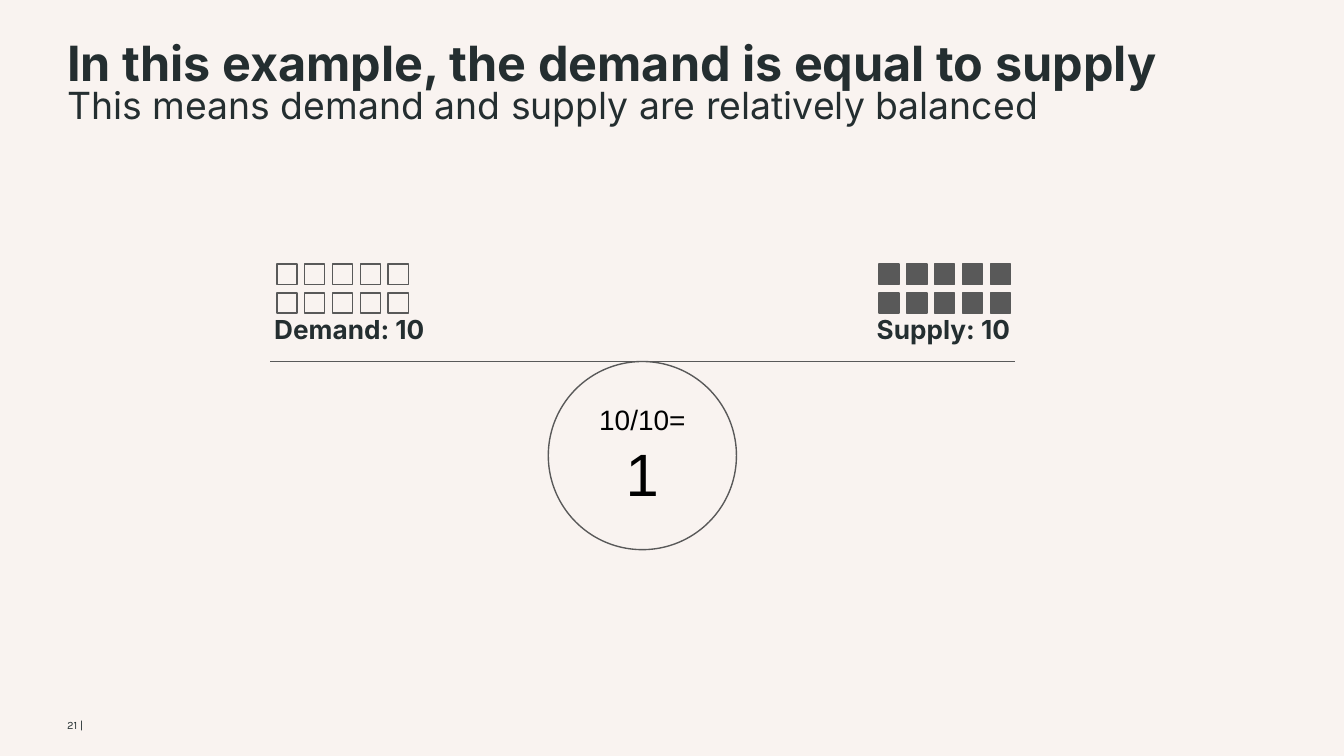
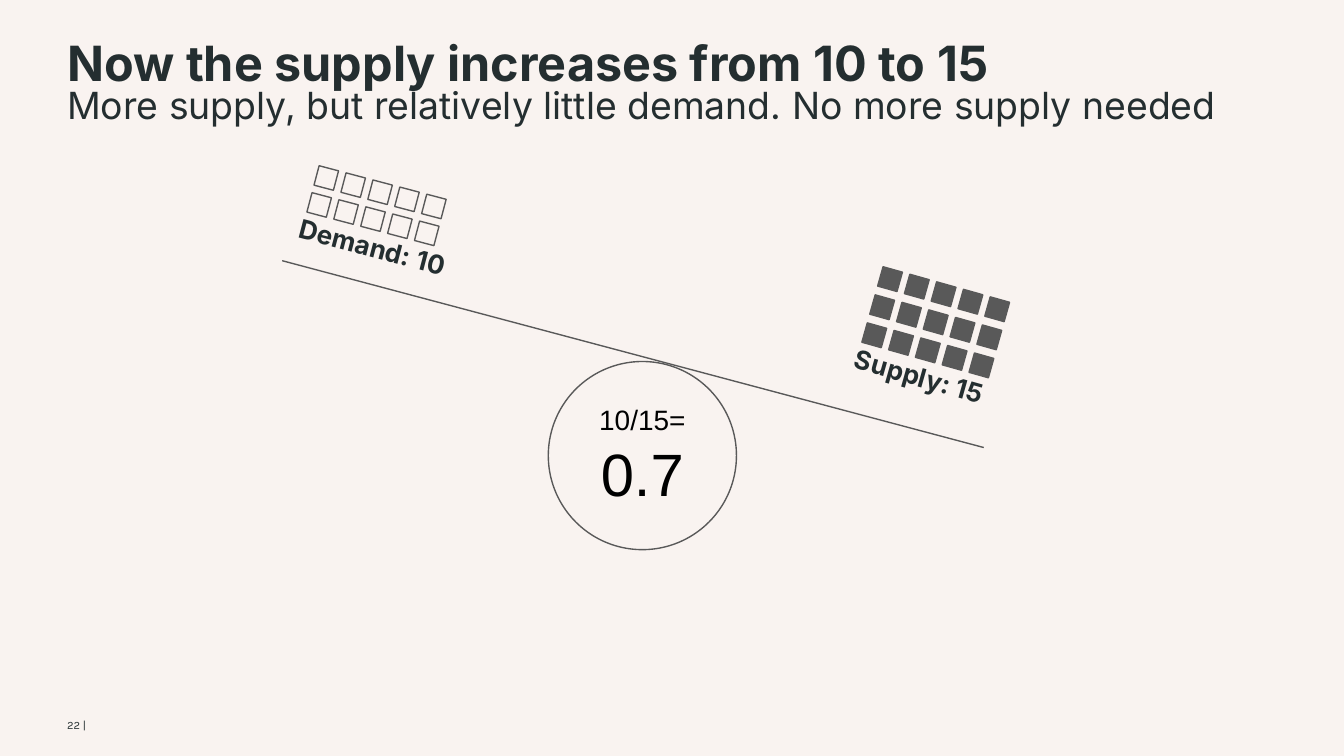
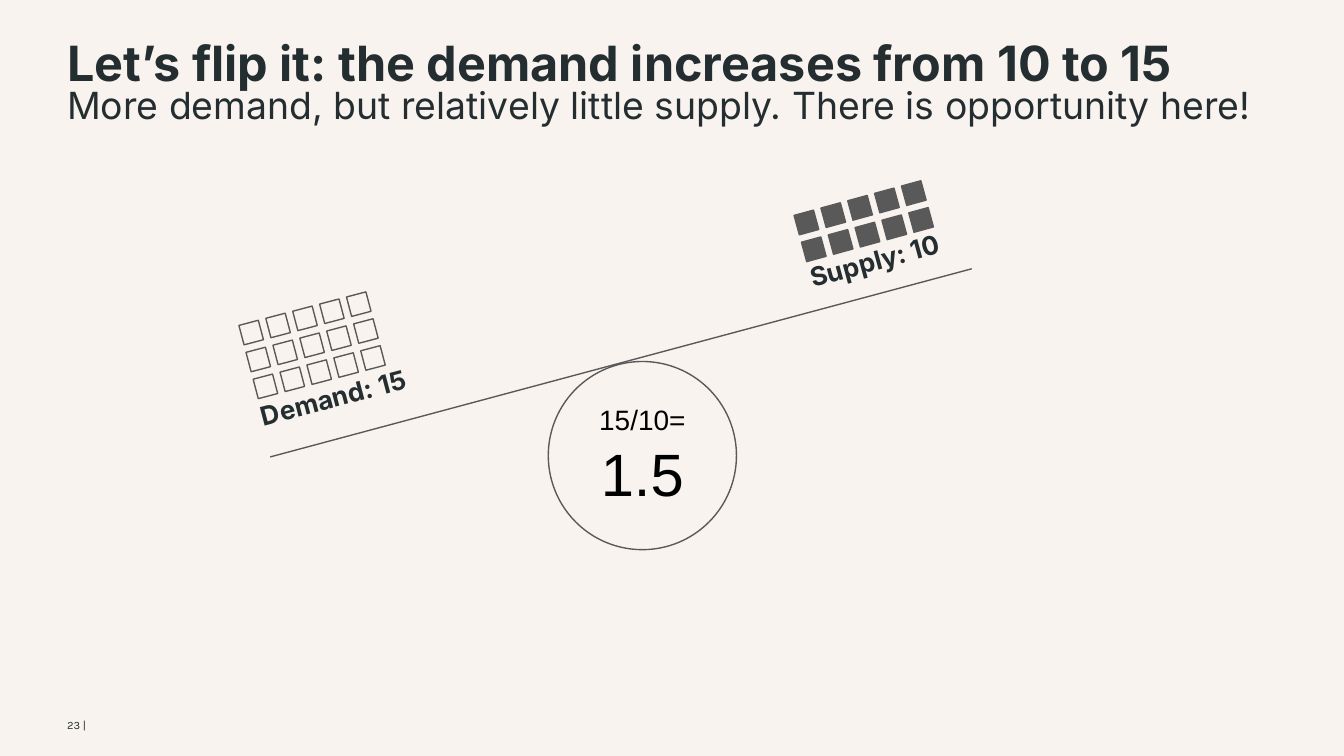
import dataclasses
import math
import typing

import lxml.etree
import pptx
import pptx.dml.color
import pptx.enum.shapes
import pptx.enum.text
import pptx.oxml.ns
import pptx.util

BACKDROP = pptx.dml.color.RGBColor(0xF9, 0xF3, 0xF0)
INK = pptx.dml.color.RGBColor(0x24, 0x2E, 0x30)
GRAPHITE = pptx.dml.color.RGBColor(0x59, 0x59, 0x59)
BLACK = pptx.dml.color.RGBColor(0, 0, 0)

SLIDE_WIDTH = pptx.util.Inches(10)
SLIDE_HEIGHT = pptx.util.Inches(5.625)
COLUMN = SLIDE_WIDTH / 100
ROW = SLIDE_HEIGHT / 56.25

STROKE = pptx.util.Pt(0.75)
UNITS_PER_ROW = 5
UNIT_SIZE = 1.5
UNIT_PITCH = 2.07
FIRST_PAGE = 21

CENTER = pptx.enum.text.PP_ALIGN.CENTER
LEFT = pptx.enum.text.PP_ALIGN.LEFT
MIDDLE = pptx.enum.text.MSO_ANCHOR.MIDDLE
SHAPES = pptx.enum.shapes.MSO_SHAPE


class Spot(typing.NamedTuple):
    column: float
    row: float


class Area(typing.NamedTuple):
    column: float
    row: float
    columns: float
    rows: float


class Style(typing.NamedTuple):
    font: str
    size: float
    color: pptx.dml.color.RGBColor
    bold: bool = False


TITLE = Style("Inter", 26, INK, True)
SUBTITLE = Style("Inter", 20, INK)
LABEL = Style("Inter", 14, INK, True)
PAGE_NUMBER = Style("Karla", 6, INK)
FORMULA = Style("Arial", 15, BLACK)
RATIO = Style("Arial", 32, BLACK)

HEADING_AREA = Area(5, 3.3, 90, 7.1)
PAGE_AREA = Area(5, 51.8, 35.8, 4.3)
PIVOT_AREA = Area(40.8, 26.9, 14, 14)


@dataclasses.dataclass(frozen=True)
class Load:
    count: int
    label: Spot
    label_tilt: float
    first_unit: Spot
    tilt: float
    row_pitch: float = 2.07


@dataclasses.dataclass(frozen=True)
class Scale:
    title: str
    subtitle: str
    ratio: str
    beam_start: Spot
    beam_end: Spot
    demand: Load
    supply: Load


SCALES = [
    Scale(
        "In this example, the demand is equal to supply",
        "This means demand and supply are relatively balanced",
        "1",
        Spot(20.1, 26.9),
        Spot(75.5, 26.9),
        Load(10, Spot(20.1, 23.3), 0, Spot(20.6, 21.8), 0, 2.15),
        Load(10, Spot(64.3, 23.3), 0, Spot(65.4, 21.8), 0, 2.15),
    ),
    Scale(
        "Now the supply increases from 10 to 15",
        "More supply, but relatively little demand. No more supply needed",
        "0.7",
        Spot(73.2, 33.3),
        Spot(21, 19.4),
        Load(10, Spot(21.8, 17.2), 14.7, Spot(23, 14.5), 14.8),
        Load(15, Spot(62.5, 26.8), 15.8, Spot(64.3, 24.2), 15.7, 2.17),
    ),
    Scale(
        "Let’s flip it: the demand increases from 10 to 15",
        "More demand, but relatively little supply. There is opportunity here!",
        "1.5",
        Spot(20.1, 34),
        Spot(72.3, 20),
        Load(15, Spot(18.9, 28.4), -14.8, Spot(19, 28), -14.8),
        Load(10, Spot(59.2, 18.2), -15.3, Spot(59.8, 17.8), -15.3),
    ),
]


def place(area: Area) -> tuple[int, int, int, int]:
    return (
        round(area.column * COLUMN),
        round(area.row * ROW),
        round(area.columns * COLUMN),
        round(area.rows * ROW),
    )


def write(frame, lines: list[tuple[str, Style]], align=LEFT, spacing: float | None = None) -> None:
    frame.word_wrap = True
    for index, (words, style) in enumerate(lines):
        paragraph = frame.add_paragraph() if index else frame.paragraphs[0]
        paragraph.alignment = align
        paragraph.line_spacing = spacing
        run = paragraph.add_run()
        run.text = words
        run.font.name = style.font
        run.font.size = pptx.util.Pt(style.size)
        run.font.bold = style.bold
        run.font.color.rgb = style.color


def add_text(slide, area: Area):
    box = slide.shapes.add_textbox(*place(area))
    frame = box.text_frame
    frame.margin_left = frame.margin_top = frame.margin_right = frame.margin_bottom = 0
    return box


def add_outline(slide, preset, area: Area, filled: bool = False):
    figure = slide.shapes.add_shape(preset, *place(area))
    figure.shadow.inherit = False
    figure.line.color.rgb = GRAPHITE
    figure.line.width = STROKE
    if filled:
        figure.fill.solid()
        figure.fill.fore_color.rgb = GRAPHITE
    else:
        figure.fill.background()
    return figure


def draw_heading(slide, scale: Scale) -> None:
    heading = add_text(slide, HEADING_AREA)
    write(heading.text_frame, [(scale.title, TITLE), (scale.subtitle, SUBTITLE)], spacing=0.8)


def draw_page_number(slide, page: int) -> None:
    footer = add_text(slide, PAGE_AREA)
    footer.text_frame.vertical_anchor = MIDDLE
    write(footer.text_frame, [(f"{page} |", PAGE_NUMBER)])


def draw_beam(slide, start: Spot, end: Spot) -> None:
    beam = slide.shapes.add_connector(
        pptx.enum.shapes.MSO_CONNECTOR.STRAIGHT,
        round(start.column * COLUMN),
        round(start.row * ROW),
        round(end.column * COLUMN),
        round(end.row * ROW),
    )
    beam.line.color.rgb = GRAPHITE
    beam.line.width = STROKE
    lxml.etree.SubElement(beam._element.spPr, pptx.oxml.ns.qn("a:effectLst"))


def draw_pivot(slide, scale: Scale) -> None:
    pivot = add_outline(slide, SHAPES.OVAL, PIVOT_AREA)
    frame = pivot.text_frame
    frame.vertical_anchor = MIDDLE
    frame.margin_top = frame.margin_bottom = pptx.util.Inches(0.1)
    formula = f"{scale.demand.count}/{scale.supply.count}="
    write(frame, [(formula, FORMULA), (scale.ratio, RATIO)], CENTER)


def draw_load(slide, name: str, load: Load, filled: bool) -> None:
    label = add_text(slide, Area(*load.label, 11.8, 2.4))
    label.rotation = load.label_tilt
    label.text_frame.auto_size = pptx.enum.text.MSO_AUTO_SIZE.SHAPE_TO_FIT_TEXT
    write(label.text_frame, [(f"{name}: {load.count}", LABEL)], CENTER)

    cosine = math.cos(math.radians(load.tilt))
    sine = math.sin(math.radians(load.tilt))
    for index in range(load.count):
        level, position = divmod(index, UNITS_PER_ROW)
        along, up = position * UNIT_PITCH, level * load.row_pitch
        column = load.first_unit.column + along * cosine + up * sine
        row = load.first_unit.row + along * sine - up * cosine
        unit = add_outline(
            slide, SHAPES.RECTANGLE, Area(column, row, UNIT_SIZE, UNIT_SIZE), filled
        )
        unit.rotation = load.tilt


def draw_scale(deck, scale: Scale, page: int) -> None:
    slide = deck.slides.add_slide(deck.slide_layouts[6])
    slide.background.fill.solid()
    slide.background.fill.fore_color.rgb = BACKDROP
    draw_heading(slide, scale)
    draw_page_number(slide, page)
    draw_beam(slide, scale.beam_start, scale.beam_end)
    draw_pivot(slide, scale)
    draw_load(slide, "Demand", scale.demand, filled=False)
    draw_load(slide, "Supply", scale.supply, filled=True)


def main() -> None:
    deck = pptx.Presentation()
    deck.slide_width = SLIDE_WIDTH
    deck.slide_height = SLIDE_HEIGHT
    for page, scale in enumerate(SCALES, FIRST_PAGE):
        draw_scale(deck, scale, page)
    deck.save("out.pptx")


if __name__ == "__main__":
    main()
